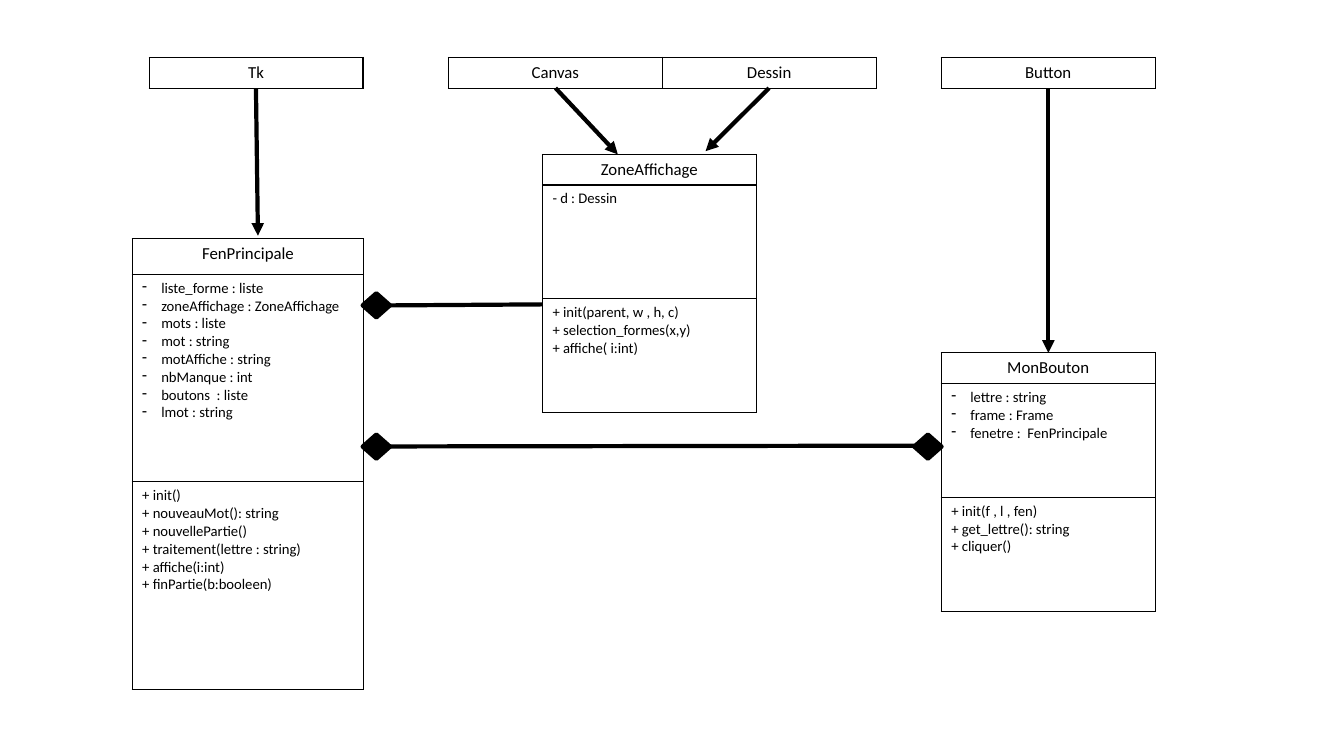
"""Build a UML class diagram slide for a word-guessing game."""
from lxml import etree
from pptx import Presentation
from pptx.dml.color import RGBColor
from pptx.enum import shapes, text
from pptx.oxml import ns
from pptx.util import Cm, Pt

BLACK = "000000"
FONT = "Calibri"
WIDTH, HEAD = 5.39, 0.77
TOP = 1.45


def rgb(value):
    return RGBColor.from_string(value)


def sub(parent, tag, **attrs):
    return etree.SubElement(parent, ns.qn(tag), **attrs)


prs = Presentation()
prs.slide_width, prs.slide_height = Cm(33.87), Cm(19.05)
s = prs.slides.add_slide(prs.slide_layouts[6])

fen_attributes = ["liste_forme : liste", "zoneAffichage : ZoneAffichage", "mots : liste",
                  "mot : string", "motAffiche : string", "nbManque : int",
                  "boutons  : liste", "lmot : string"]
fen_methods = ["+ init()", "+ nouveauMot(): string", "+ nouvellePartie()",
               "+ traitement(lettre : string)", "+ affiche(i:int)", "+ finPartie(b:booleen)"]
zone_methods = ["+ init(parent, w , h, c)", "+ selection_formes(x,y)", "+ affiche( i:int)"]
bouton_attributes = ["lettre : string", "frame : Frame", "fenetre :  FenPrincipale"]
bouton_methods = ["+ init(f , l , fen)", "+ get_lettre(): string", "+ cliquer()"]

classes = [
    (11.3, TOP, WIDTH, HEAD, 0, [["Canvas"]]),
    (23.72, TOP, WIDTH, HEAD, 0, [["Button"]]),
    (3.76, TOP, WIDTH, HEAD, 0, [["Tk"]]),
    (11.3 + WIDTH, TOP, WIDTH, HEAD, 0, [["Dessin"]]),
    (3.33, 6.02, 5.84, 0.89, 5.23, [["FenPrincipale"], fen_attributes, fen_methods]),
    (13.67, 3.89, WIDTH, HEAD, 2.87, [["ZoneAffichage"], ["- d : Dessin"], zone_methods]),
    (23.72, 8.89, WIDTH, HEAD, 2.87, [["MonBouton"], bouton_attributes, bouton_methods]),
]
for left, top, width, head, body, sections in classes:
    heights = [head] + [body] * (len(sections) - 1)
    table = s.shapes.add_table(len(sections), 1, Cm(left), Cm(top),
                               Cm(width), Cm(sum(heights))).table
    table.first_row = table.horz_banding = False
    for i, lines in enumerate(sections):
        table.rows[i].height = Cm(heights[i])
        cell = table.cell(i, 0)
        tcPr = cell._tc.get_or_add_tcPr()
        for side in ("a:lnL", "a:lnR", "a:lnT", "a:lnB"):
            ln = sub(tcPr, side, w=str(Pt(1)))
            sub(sub(ln, "a:solidFill"), "a:srgbClr", val=BLACK)
        cell.fill.background()
        cell.text_frame.text = "\n".join(lines)
        for p in cell.text_frame.paragraphs:
            if i == 0:
                p.alignment = text.PP_ALIGN.CENTER
            elif p.text[0] not in "+-":
                pPr = p._p.get_or_add_pPr()
                pPr.set("marL", str(Cm(0.48)))
                pPr.set("indent", str(-Cm(0.48)))
                sub(pPr, "a:buChar", char="-")
            for r in p.runs:
                r.font.name = FONT
                r.font.size = Pt(10.5 if i else 12)
                r.font.color.rgb = rgb(BLACK)

arrows = [
    (23.47, 11.23, 9.14, 11.25),
    (13.67, 7.67, 9.14, 7.7),
    (19.38, 2.22, 17.78, 3.81),
    (14.0, 2.22, 15.57, 3.89),
    (26.42, 2.22, 26.42, 8.89),
    (6.45, 2.22, 6.5, 5.94),
]
for points in arrows:
    line = s.shapes.add_connector(shapes.MSO_CONNECTOR.STRAIGHT, *map(Cm, points))
    line.line.color.rgb = rgb(BLACK)
    line.line.width = Pt(3)
    sub(line.line._get_or_add_ln(), "a:tailEnd", type="triangle")
    sub(line._element.spPr, "a:effectLst")

for left, top in [(9.14, 10.95), (23.04, 10.95), (9.14, 7.39)]:
    diamond = s.shapes.add_shape(shapes.MSO_SHAPE.DIAMOND, Cm(left), Cm(top),
                                 Cm(0.69), Cm(0.61))
    diamond.shadow.inherit = False
    diamond.fill.solid()
    diamond.fill.fore_color.rgb = rgb(BLACK)
    diamond.line.color.rgb = rgb(BLACK)
    diamond.line.width = Pt(3)

prs.save("out.pptx")
